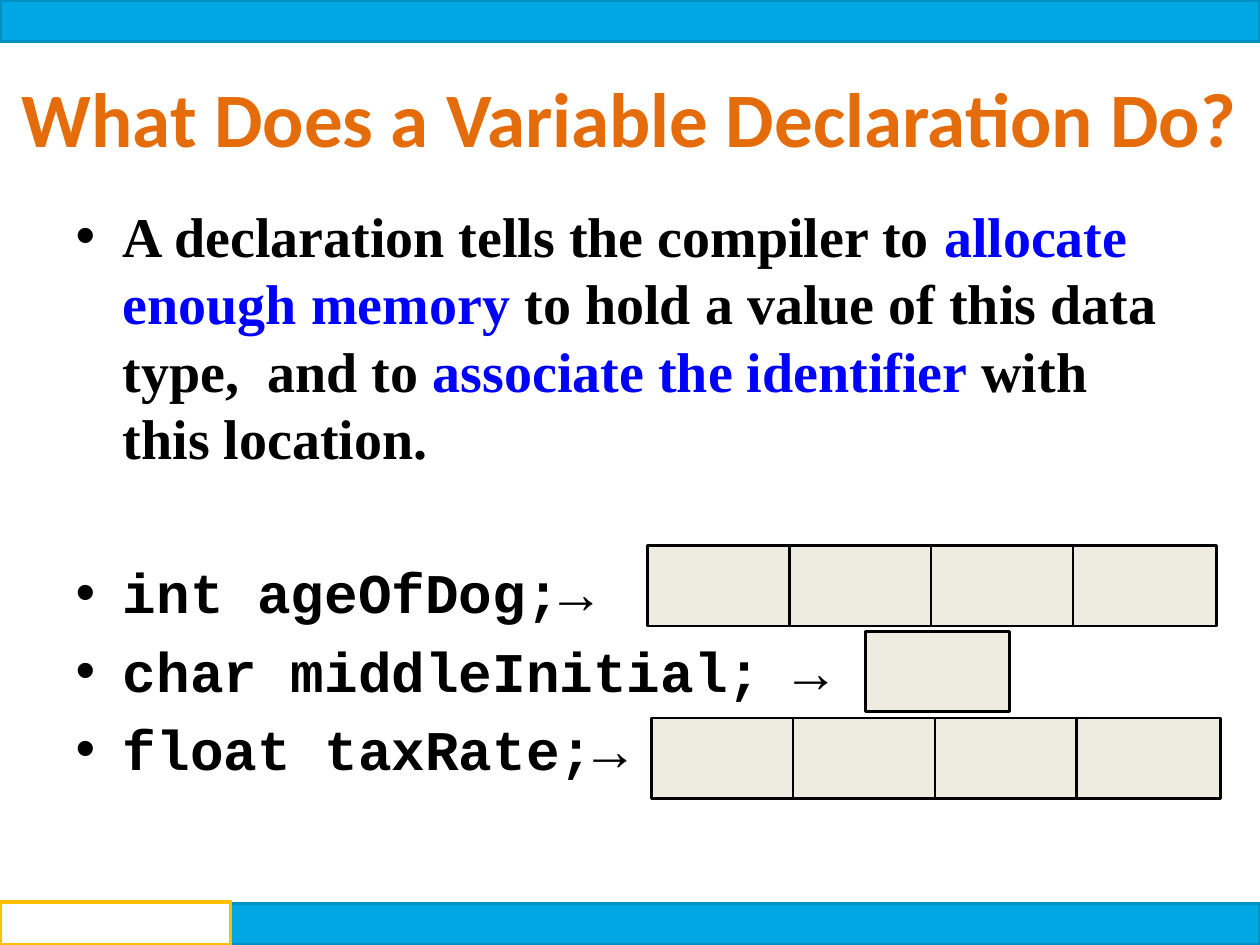
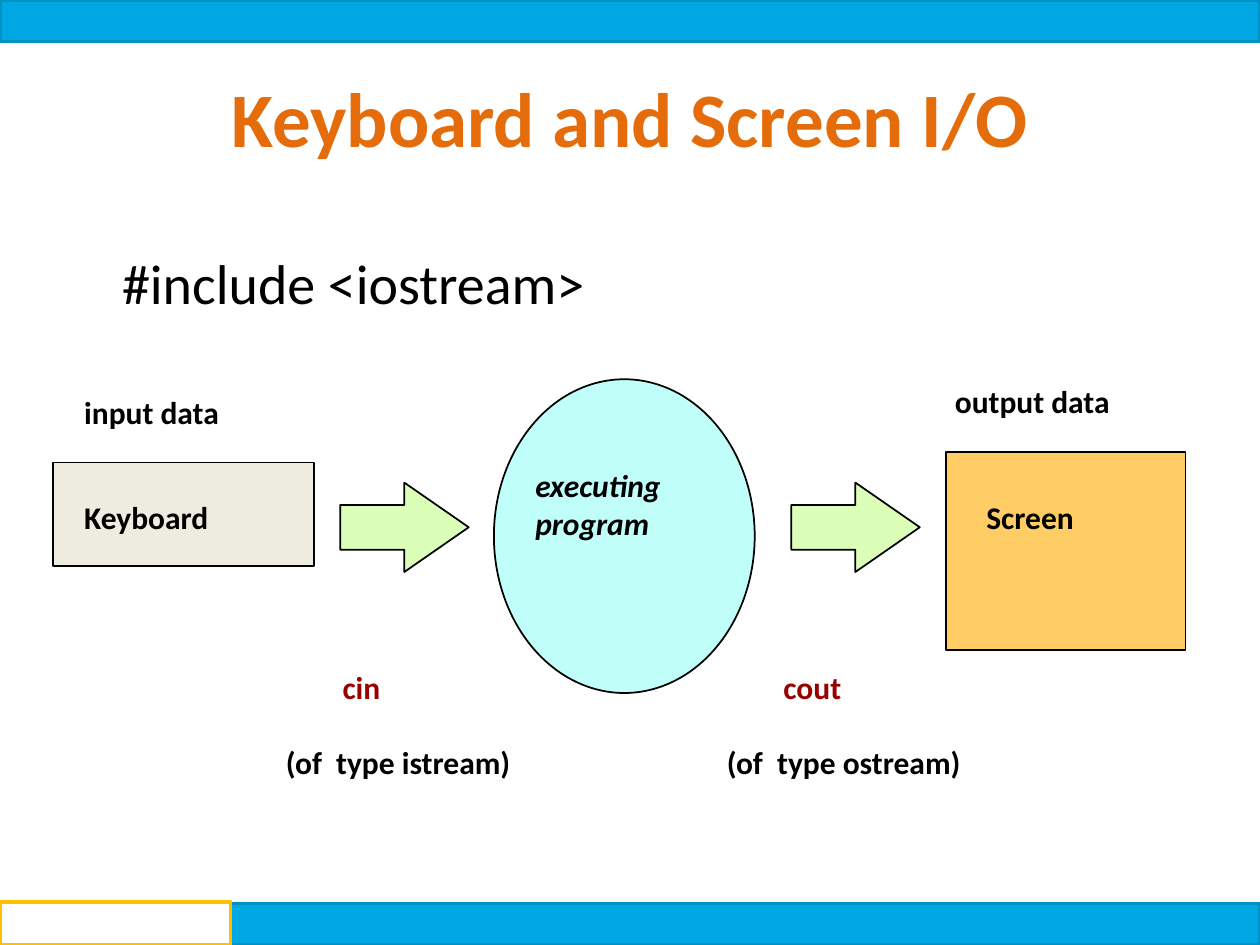
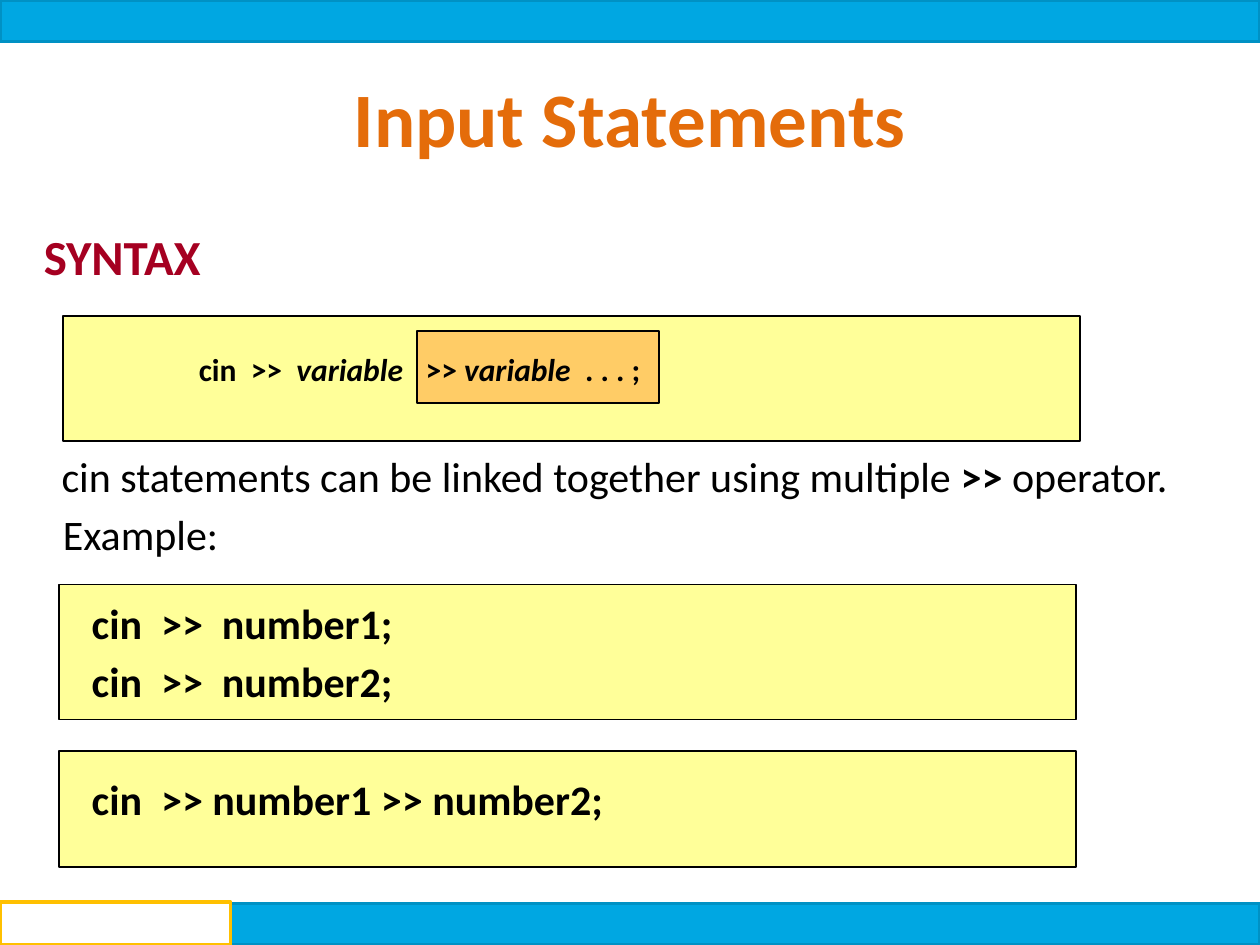
from dataclasses import dataclass

from lxml.etree import SubElement
from pptx import Presentation
from pptx.dml.color import RGBColor
from pptx.enum.shapes import MSO_SHAPE as Preset
from pptx.enum.text import MSO_ANCHOR as Anchor
from pptx.enum.text import MSO_AUTO_SIZE as AutoSize
from pptx.enum.text import PP_ALIGN as Align
from pptx.oxml.ns import qn
from pptx.presentation import Presentation as Deck
from pptx.shapes.autoshape import Shape
from pptx.slide import Slide
from pptx.text.text import TextFrame
from pptx.util import Inches, Pt


@dataclass(frozen=True)
class Theme:
    black: str = "000000"
    white: str = "FFFFFF"
    title: str = "E46C0A"
    blue: str = "0000FF"
    stream: str = "990000"
    heading: str = "A50021"
    band: str = "00A7E2"
    band_edge: str = "0091C4"
    tab_edge: str = "FFC000"
    beige: str = "EEECE1"
    aqua: str = "C0FEF9"
    orange: str = "FFCC66"
    green: str = "DBFFB8"
    yellow: str = "FFFF99"
    sans: str = "Calibri"
    serif: str = "Times New Roman"
    mono: str = "Courier New"
    title_size: float = 44
    body_size: float = 32
    heading_size: float = 28
    code_size: float = 24
    label_size: float = 18


THEME = Theme()


@dataclass(frozen=True)
class Area:
    left: float
    top: float
    width: float
    height: float

    def lengths(self) -> tuple[Inches, Inches, Inches, Inches]:
        return Inches(self.left), Inches(self.top), Inches(self.width), Inches(self.height)


@dataclass(frozen=True)
class Block:
    area: Area
    fill: str
    edge: str = THEME.black
    weight: float = 1
    preset: Preset = Preset.RECTANGLE


@dataclass(frozen=True)
class Span:
    text: str
    color: str = THEME.black
    bold: bool = True
    italic: bool = False


@dataclass(frozen=True)
class Line:
    spans: tuple[Span, ...]
    size: float = THEME.label_size
    font: str = THEME.sans
    before: float = 0
    margin: float = 0
    tab: float = 0


@dataclass(frozen=True)
class Label:
    area: Area
    lines: tuple[Line, ...]
    wrap: bool = False


@dataclass(frozen=True)
class MemoryRow:
    left: float
    top: float
    cells: int


BANDS = (
    Block(Area(0, 0, 10, 0.33), THEME.band, THEME.band_edge, 2),
    Block(Area(0, 7.17, 10, 0.33), THEME.band, THEME.band_edge, 2),
    Block(Area(0, 7.16, 1.83, 0.34), THEME.white, THEME.tab_edge, 2.25),
)
TITLE_AREA = Area(0.5, 0.3, 9, 1.25)
WIDE_TITLE_AREA = Area(0, 0.3, 10, 1.25)
CELL_WIDTH, CELL_HEIGHT = 1.14, 0.64
CELL_PITCH = 4.5 / 4


def draw_block(page: Slide, block: Block) -> Shape:
    shape = page.shapes.add_shape(block.preset, *block.area.lengths())
    shape.shadow.inherit = False
    shape.fill.solid()
    shape.fill.fore_color.rgb = RGBColor.from_string(block.fill)
    shape.line.color.rgb = RGBColor.from_string(block.edge)
    shape.line.width = Pt(block.weight)
    return shape


def write_lines(frame: TextFrame, lines: tuple[Line, ...]) -> None:
    for index, line in enumerate(lines):
        para = frame.add_paragraph() if index else frame.paragraphs[0]
        properties = para._p.get_or_add_pPr()
        if line.margin:
            properties.set("marL", str(Inches(line.margin)))
        if line.tab:
            stops = SubElement(properties, qn("a:tabLst"))
            SubElement(stops, qn("a:tab"), pos=str(Inches(line.tab)), algn="l")
        para.space_before = Pt(line.before if index else 0)
        for span in line.spans:
            run = para.add_run()
            run.text = span.text
            run.font.name = line.font
            run.font.size = Pt(line.size)
            run.font.bold = span.bold
            run.font.italic = span.italic
            run.font.color.rgb = RGBColor.from_string(span.color)


def draw_label(page: Slide, label: Label) -> None:
    box = page.shapes.add_textbox(*label.area.lengths())
    box.text_frame.word_wrap = label.wrap
    write_lines(box.text_frame, label.lines)


def place(shape: Shape, area: Area) -> None:
    shape.left, shape.top, shape.width, shape.height = area.lengths()


def add_page(deck: Deck, layout: str, title: str, area: Area = TITLE_AREA) -> Slide:
    page = deck.slides.add_slide(deck.slide_layouts.get_by_name(layout))
    heading = page.shapes.title
    place(heading, area)
    frame = heading.text_frame
    frame.auto_size = AutoSize.NONE
    frame.vertical_anchor = Anchor.MIDDLE
    write_lines(frame, (Line((Span(title, THEME.title),), THEME.title_size),))
    frame.paragraphs[0].alignment = Align.CENTER
    for band in BANDS:
        draw_block(page, band)
    return page


def plain(text: str, left: float, top: float, width: float) -> Label:
    return Label(Area(left, top, width, 0.5), (Line((Span(text),)),))


def stream_label(name: str, kind: str, left: float, width: float) -> Label:
    return Label(
        Area(left, 5.25, width, 1.3),
        (
            Line((Span(name, THEME.stream),), margin=0.45),
            Line((Span(kind),), before=21.5),
        ),
    )


def build_declaration(deck: Deck) -> None:
    page = add_page(
        deck, "Title and Content", "What Does a Variable Declaration Do?", WIDE_TITLE_AREA
    )
    body = page.placeholders[1]
    place(body, Area(0.5, 1.55, 9, 5.15))
    body.text_frame.auto_size = AutoSize.NONE
    meaning = (
        Span("A declaration tells the compiler to "),
        Span("allocate enough memory ", THEME.blue),
        Span("to hold a value of this data type,  and to "),
        Span("associate the identifier ", THEME.blue),
        Span("with this location."),
    )
    declarations = (
        ("int ageOfDog;→", 50),
        ("char middleInitial; →", 6.4),
        ("float taxRate;→", 6.4),
    )
    write_lines(
        body.text_frame,
        (
            Line(meaning, THEME.body_size, THEME.serif),
            *(
                Line((Span(code),), THEME.body_size, THEME.mono, before)
                for code, before in declarations
            ),
        ),
    )
    for row in (MemoryRow(5.14, 4.33, 4), MemoryRow(6.87, 5.01, 1), MemoryRow(5.17, 5.7, 4)):
        for cell in range(row.cells):
            area = Area(row.left + cell * CELL_PITCH, row.top, CELL_WIDTH, CELL_HEIGHT)
            draw_block(page, Block(area, THEME.beige, weight=1.5))


def build_streams(deck: Deck) -> None:
    page = add_page(deck, "Title Only", "Keyboard and Screen I/O")
    for block in (
        Block(Area(3.92, 3.01, 2.07, 2.49), THEME.aqua, preset=Preset.OVAL),
        Block(Area(0.42, 3.67, 2.07, 0.82), THEME.beige),
        Block(Area(7.51, 3.59, 1.9, 1.57), THEME.orange),
    ):
        draw_block(page, block)
    for left in (2.7, 6.28):
        arrow = draw_block(
            page,
            Block(Area(left, 3.83, 1.02, 0.71), THEME.green, preset=Preset.RIGHT_ARROW),
        )
        arrow.adjustments[1] = 0.72
    include = Line((Span("#include <iostream>", bold=False),), THEME.body_size)
    program = tuple(Line((Span(word, italic=True),)) for word in ("executing", "program"))
    for label in (
        Label(Area(0.87, 1.92, 6.38, 0.75), (include,), True),
        stream_label("cin", "(of  type istream)", 2.17, 2.89),
        stream_label("cout", "(of  type ostream)", 5.67, 3),
        plain("Keyboard", 0.57, 3.9, 1.74),
        plain("Screen", 7.73, 3.9, 1.31),
        plain("input data", 0.57, 3.07, 1.79),
        plain("output data", 7.48, 2.98, 2.02),
        Label(Area(4.15, 3.65, 1.76, 0.9), program),
    ):
        draw_label(page, label)


def build_input(deck: Deck) -> None:
    page = add_page(deck, "Title Only", "Input Statements")
    for block in (
        Block(Area(0.47, 4.64, 8.07, 1.07), THEME.yellow),
        Block(Area(0.47, 5.96, 8.07, 0.92), THEME.yellow),
        Block(Area(0.5, 2.51, 8.07, 0.99), THEME.yellow),
        Block(Area(3.31, 2.63, 1.92, 0.57), THEME.orange),
    ):
        draw_block(page, block)
    syntax = (
        Span("cin  >>  "),
        Span("variable", italic=True),
        Span("\t>> "),
        Span("variable  ", italic=True),
        Span(". . . ;"),
    )
    draw_label(page, Label(Area(1.48, 2.73, 3.74, 0.4), (Line(syntax, tab=1.8),)))
    linking = (
        Span("cin statements can be linked together using multiple ", bold=False),
        Span(">> "),
        Span("operator.", bold=False),
    )
    examples = (
        ("cin  >>  number1;", 21.6),
        ("cin  >>  number2;", 4.8),
        ("cin  >> number1 >> number2;", 38.2),
    )
    lines = (
        Line((Span("SYNTAX", THEME.heading),), THEME.heading_size),
        Line(linking, THEME.code_size, before=94, margin=0.14),
        Line((Span("Example:", bold=False),), THEME.code_size, before=4.8, margin=0.15),
        *(
            Line((Span(code),), THEME.code_size, before=before, margin=0.38)
            for code, before in examples
        ),
    )
    draw_label(page, Label(Area(0.25, 1.75, 9.5, 5.42), lines, True))


def main() -> None:
    deck = Presentation()
    deck.slide_width, deck.slide_height = Inches(10), Inches(7.5)
    build_declaration(deck)
    build_streams(deck)
    build_input(deck)
    deck.save("out.pptx")


if __name__ == "__main__":
    main()
